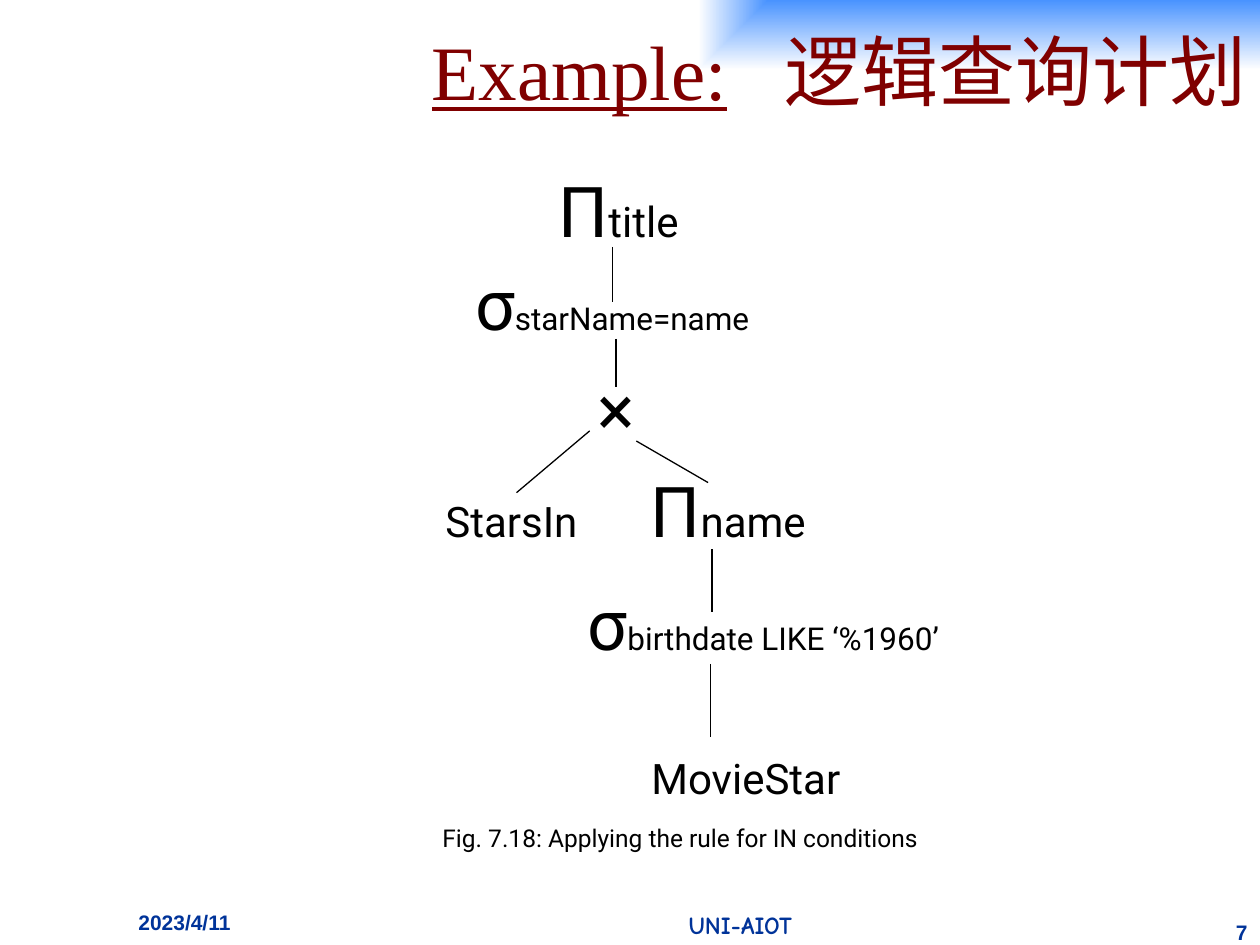
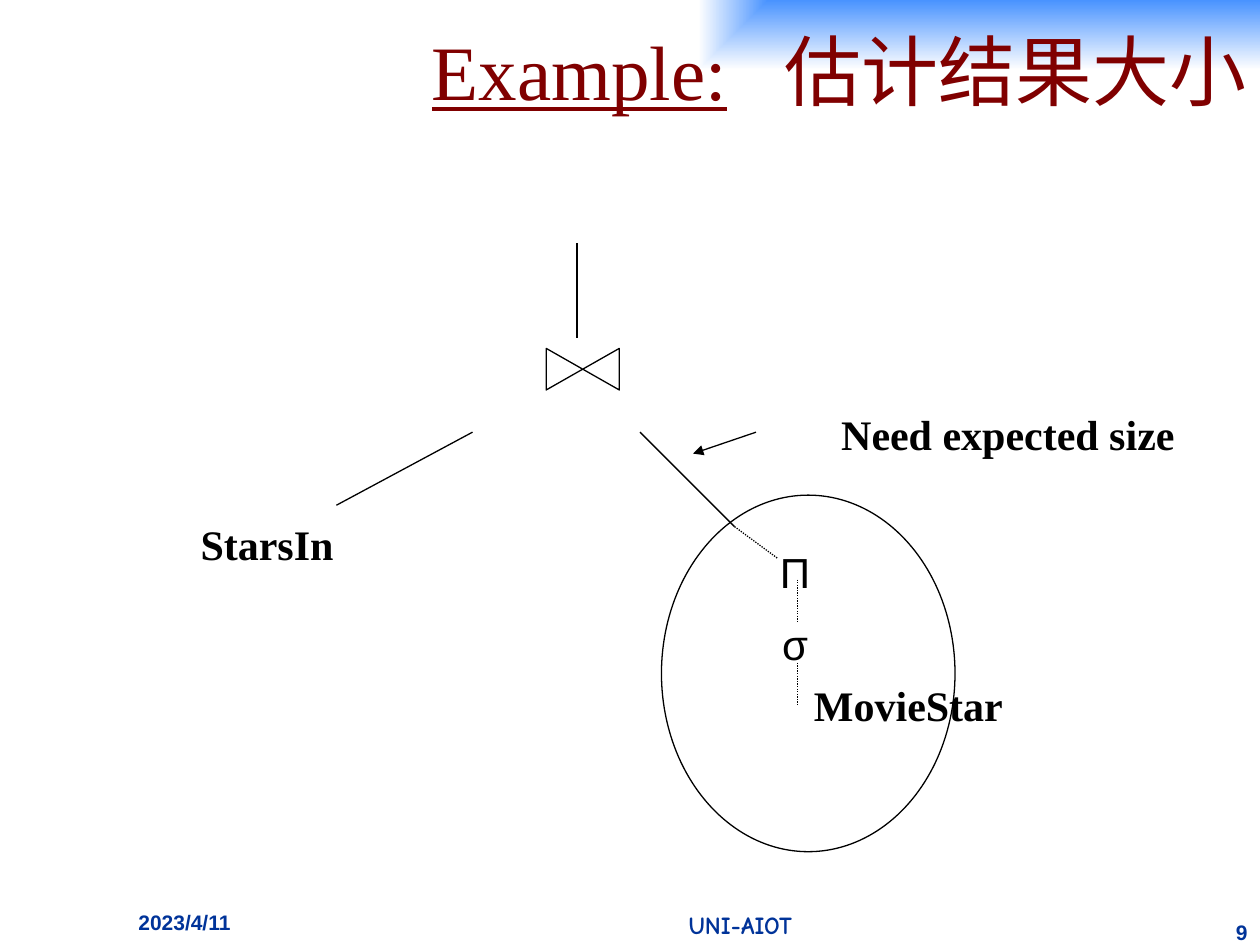
from lxml import etree
from pptx import Presentation
from pptx.dml.color import RGBColor
from pptx.enum.dml import MSO_LINE
from pptx.enum.shapes import MSO_CONNECTOR, MSO_SHAPE
from pptx.enum.text import MSO_ANCHOR, MSO_AUTO_SIZE, PP_ALIGN
from pptx.oxml import parse_xml
from pptx.oxml.ns import nsdecls, qn
from pptx.util import Inches, Pt

LEFT, CENTER, RIGHT = PP_ALIGN.LEFT, PP_ALIGN.CENTER, PP_ALIGN.RIGHT
STRAIGHT = MSO_CONNECTOR.STRAIGHT
DOTTED = MSO_LINE.ROUND_DOT

COLORS = {"text": "000000", "title": "800000", "footer": "003399",
          "band": "3F8DFF", "paper": "FFFFFF"}
SERIF, SANS, TREE, COMIC = "Times New Roman", "Arial", "Roboto", "Comic Neue"
CJK = "Noto Sans CJK SC"
ASCENT = {SERIF: 0.98, SANS: 1, TREE: 1.01}  # line top to baseline, per size
INSET = 0.05
TITLE_ONLY = 5

# Footer parts: text (None is the page number), box, alignment, font, size
FOOTER = [
    ("2023/4/11", (1, 7.17, 1.75, 0.33), LEFT, SANS, 12),
    ("UNI-AIOT", (3.5, 7.17, 4.75, 0.33), CENTER, COMIC, 14),
    (None, (9.58, 7.25, 0.42, 0.25), RIGHT, SANS, 12),
]

# Labels: centre x, baseline y, width, font, bold, runs of (text, size)
# Edges: from, to, dash, arrowhead at the end
SLIDES = [
    {
        "page": 7,
        "topic": "逻辑查询计划",
        "labels": [
            (4.91, 1.89, 1.5, TREE, False, [("Π", 40), ("title", 24)]),
            (4.86, 2.63, 2.8, TREE, False, [("σ", 40), ("starName=name", 18)]),
            (4.89, 3.46, 0.8, TREE, False, [("×", 40)]),
            (4.06, 4.27, 1.5, TREE, False, [("StarsIn", 24)]),
            (5.78, 4.27, 1.8, TREE, False, [("Π", 40), ("name", 24)]),
            (6.06, 5.17, 3.4, TREE, False,
             [("σ", 40), ("birthdate LIKE ‘%1960’", 18)]),
            (5.92, 6.31, 2, TREE, False, [("MovieStar", 24)]),
            (5.4, 6.73, 7.21, TREE, False,
             [("Fig. 7.18: Applying the rule for IN conditions", 14)]),
        ],
        "edges": [
            ((4.86, 1.96), (4.86, 2.4), None, False),
            ((4.89, 2.69), (4.89, 3.07), None, False),
            ((4.68, 3.42), (4.1, 3.91), None, False),
            ((5.05, 3.5), (5.62, 3.83), None, False),
            ((5.65, 4.36), (5.65, 4.86), None, False),
            ((5.64, 5.27), (5.64, 5.85), None, False),
        ],
        "outlines": [],
    },
    {
        "page": 9,
        "topic": "估计结果大小",
        "labels": [
            (8, 3.57, 3.1, SERIF, True, [("Need expected size", 24)]),
            (2.12, 4.44, 1.5, SERIF, True, [("StarsIn", 24)]),
            (7.21, 5.72, 2, SERIF, True, [("MovieStar", 24)]),
            (6.31, 4.67, 0.6, SANS, False, [("Π", 24)]),
            (6.31, 5.24, 0.6, SANS, False, [("σ", 24)]),
        ],
        "edges": [
            ((4.58, 1.93), (4.58, 2.68), None, False),
            ((3.75, 3.43), (2.67, 4.01), None, False),
            ((5.08, 3.43), (5.83, 4.18), None, False),
            ((5.83, 4.18), (6.17, 4.43), DOTTED, False),
            ((6.33, 4.6), (6.33, 4.93), DOTTED, False),
            ((6.33, 5.26), (6.33, 5.6), DOTTED, False),
            ((6, 3.43), (5.5, 3.6), None, True),
        ],
        # Subtree circle and join symbol: preset, box, rotation
        "outlines": [
            (MSO_SHAPE.OVAL, (5.25, 3.93, 2.33, 2.83), 0),
            (MSO_SHAPE.FLOWCHART_COLLATE, (4.46, 2.64, 0.33, 0.58), 270),
        ],
    },
]


def rgb(name):
    return RGBColor.from_string(COLORS[name])


def inches(box):
    return [Inches(value) for value in box]


def add_run(paragraph, text, font, size, color, bold=False, underline=False):
    run = paragraph.add_run()
    run.text = text
    run.font.name = font
    run.font.size = Pt(size)
    run.font.bold = bold
    run.font.underline = underline
    run.font.color.rgb = rgb(color)
    properties = run._r.get_or_add_rPr()
    etree.SubElement(properties, qn("a:ea")).set("typeface", font)
    return properties


def add_text(slide, box, align, wrap=True):
    frame = slide.shapes.add_textbox(*inches(box)).text_frame
    frame.word_wrap = wrap
    paragraph = frame.paragraphs[0]
    paragraph.alignment = align
    return paragraph


def add_title(slide, topic):
    title = slide.shapes.title
    title.left, title.top, title.width, title.height = inches(
        (1.08, -0.03, 8.92, 1.17))
    # Blue glow that fades out from the top right corner
    title._element.spPr.append(parse_xml(
        f'<a:gradFill {nsdecls("a")} rotWithShape="1"><a:gsLst>'
        f'<a:gs pos="0"><a:srgbClr val="{COLORS["band"]}"/></a:gs>'
        f'<a:gs pos="100000"><a:srgbClr val="{COLORS["paper"]}"/></a:gs>'
        '</a:gsLst><a:path path="rect">'
        '<a:fillToRect l="100000" b="100000"/></a:path></a:gradFill>'))
    frame = title.text_frame
    frame.word_wrap = True
    frame.auto_size = MSO_AUTO_SIZE.NONE
    frame.vertical_anchor = MSO_ANCHOR.MIDDLE
    paragraph = frame.paragraphs[0]
    paragraph.alignment = RIGHT
    add_run(paragraph, "Example:", SERIF, 44, "title", underline=True)
    gap = add_run(paragraph, " ", SERIF, 44, "title")
    gap.set("spc", "2200")  # widens the single space
    add_run(paragraph, topic, CJK, 44, "title")


def add_footer(slide, page):
    for text, box, align, font, size in FOOTER:
        paragraph = add_text(slide, box, align)
        add_run(paragraph, text or str(page), font, size, "footer", bold=True)


def add_label(slide, center, baseline, width, font, bold, runs):
    tallest = max(size for _, size in runs)
    top = baseline - INSET - ASCENT[font] * tallest / 72
    height = 2 * INSET + 1.17 * tallest / 72
    box = (center - width / 2, top, width, height)
    paragraph = add_text(slide, box, CENTER, wrap=False)
    for text, size in runs:
        add_run(paragraph, text, font, size, "text", bold)


def add_edge(slide, start, end, dash, arrow):
    edge = slide.shapes.add_connector(STRAIGHT, *inches(start + end))
    edge.line.color.rgb = rgb("text")
    edge.line.width = Pt(0.75)
    if dash:
        edge.line.dash_style = dash
    if arrow:
        head = etree.SubElement(edge.line._get_or_add_ln(), qn("a:tailEnd"))
        head.set("type", "triangle")
    etree.SubElement(edge._element.spPr, qn("a:effectLst"))


def add_outline(slide, preset, box, rotation):
    outline = slide.shapes.add_shape(preset, *inches(box))
    outline.rotation = rotation
    outline.shadow.inherit = False
    outline.fill.solid()
    outline.fill.fore_color.rgb = rgb("paper")
    outline.line.color.rgb = rgb("text")
    outline.line.width = Pt(0.75)


def main():
    deck = Presentation()
    deck.slide_width, deck.slide_height = Inches(10), Inches(7.5)
    for content in SLIDES:
        slide = deck.slides.add_slide(deck.slide_layouts[TITLE_ONLY])
        add_title(slide, content["topic"])
        add_footer(slide, content["page"])
        for outline in content["outlines"]:
            add_outline(slide, *outline)
        for label in content["labels"]:
            add_label(slide, *label)
        for edge in content["edges"]:
            add_edge(slide, *edge)
    deck.save("out.pptx")


if __name__ == "__main__":
    main()
